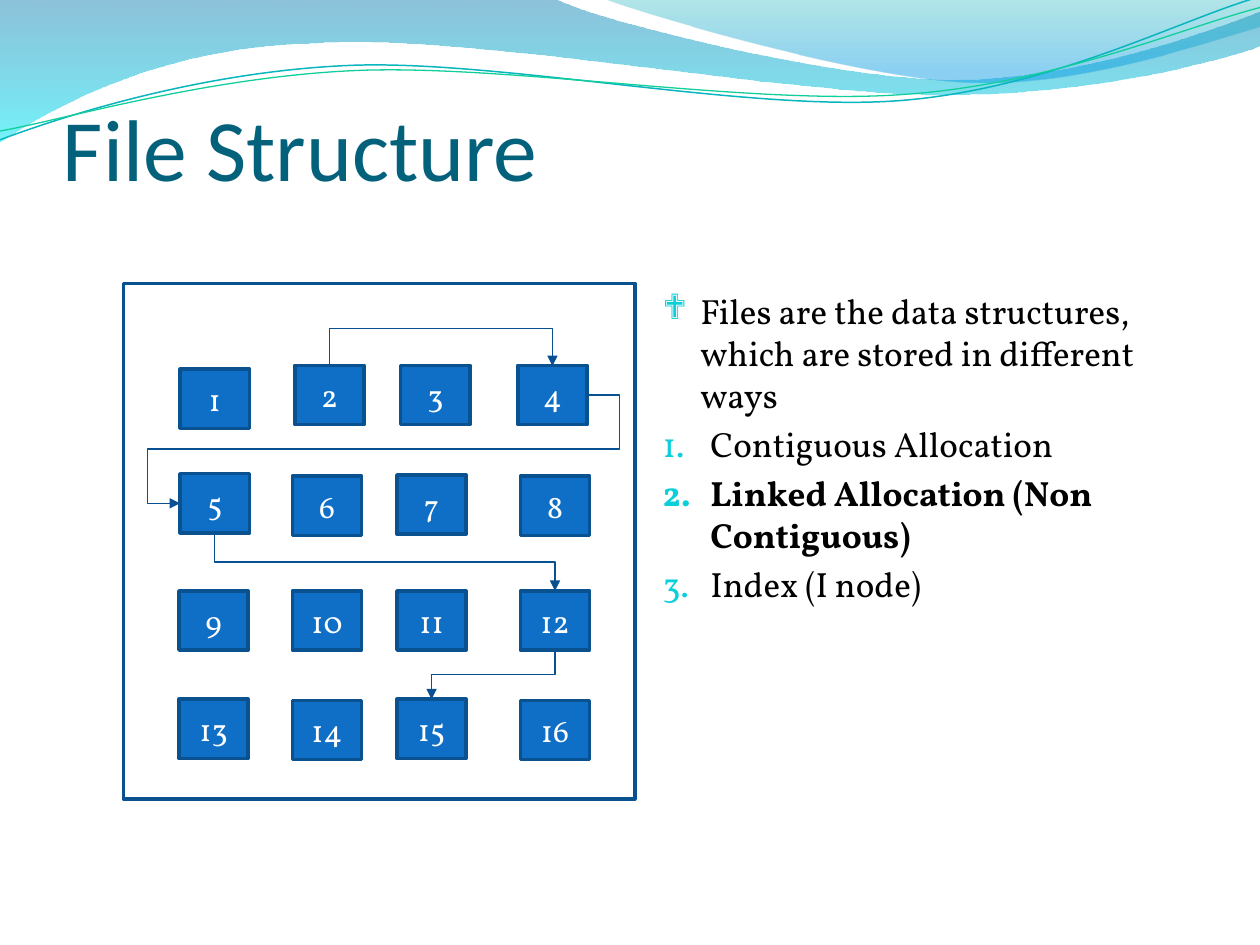
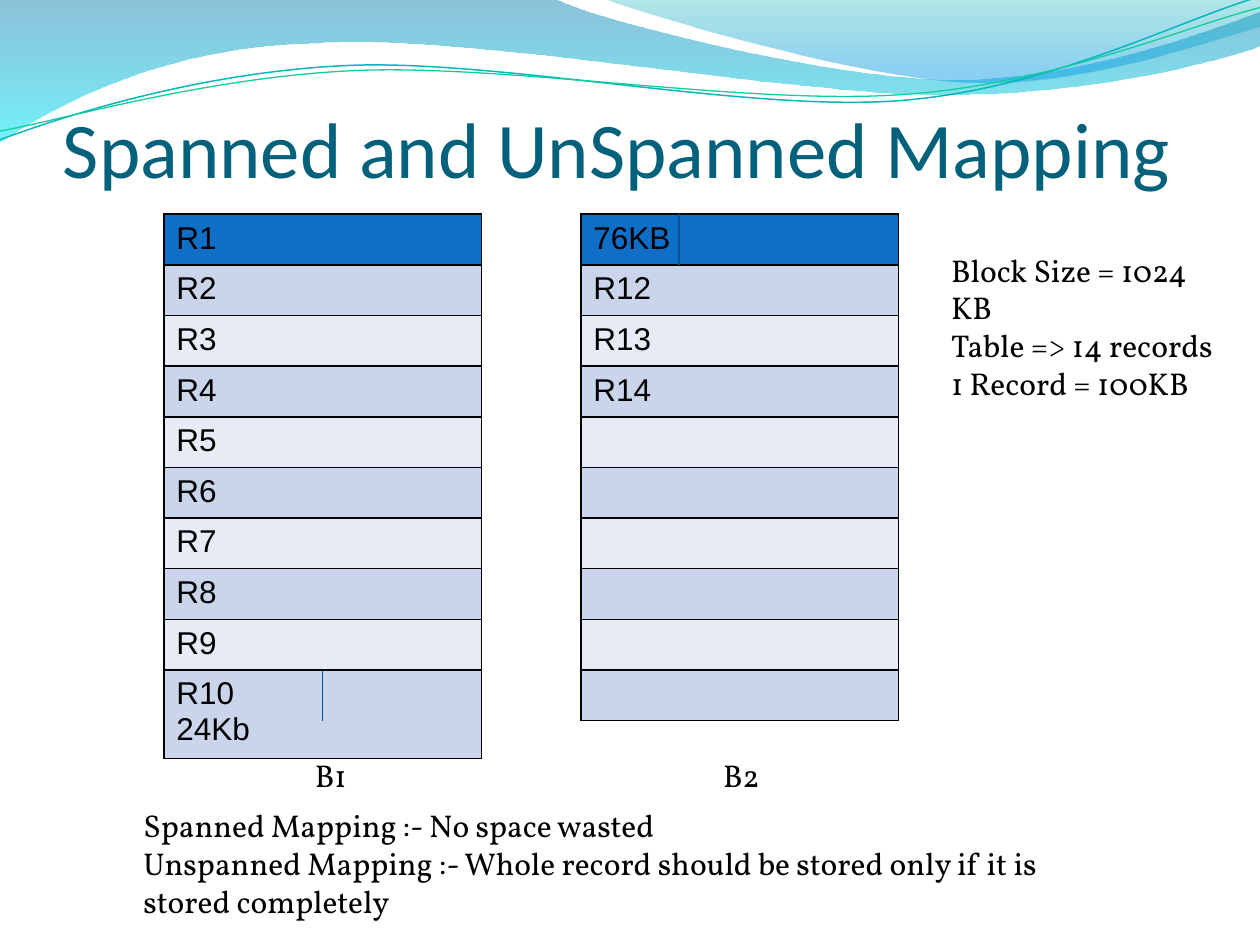
from copy import deepcopy

from lxml import etree
from pptx import Presentation
from pptx.dml.color import RGBColor
from pptx.enum import shapes, text
from pptx.oxml.ns import qn
from pptx.util import Inches, Pt

# Shared look
BODY_FONT, TITLE_FONT, TABLE_FONT = "Vollkorn", "Calibri", "Arial"
TITLE, BLUE, EDGE, ARROW, BULLET = "04617B", "0F6FC6", "0A5190", "075192", "0BD0D9"
BLACK, WHITE, BANDS = "000000", "FFFFFF", ("E6EBF5", "CAD4EA")

# Waves: a start point, then lines (2 numbers) and Bezier curves (6 numbers)
WAVE_BANDS = [
    ([(0, 0), (4.4, -0.01), (4.76, 0.17, 6.64, 0.63, 7.58, 0.63),
      (8.53, 0.63, 9.58, 0.26, 10, 0.09), (10.01, 0.36),
      (9.83, 0.44, 8.7, 0.76, 7.46, 0.75), (6.22, 0.75, 3.82, 0.28, 2.57, 0.34),
      (1.29, 0.36, 0.46, 0.83, -0.01, 1.13)],
     [(0, "0079AD", 45), (100, "00E9F7", 55)]),
    ([(4.79, -0.01), (5.09, 0.11, 6.82, 0.62, 7.69, 0.65),
      (8.56, 0.69, 9.61, 0.32, 10, 0.21), (10, 0)],
     [(0, "00ABB4", 30), (80, "0099E4", 45), (100, "0099E4", 45)]),
]
WAVE_LINES = [
    ([(0, 1.11), (0.48, 0.93, 1.58, 0.57, 2.77, 0.52),
      (3.95, 0.47, 5.93, 0.89, 7.13, 0.8), (8.33, 0.71, 9.38, 0.15, 9.98, -0.02)],
     "09B6BE", 0.85),
    ([(0, 1.04), (0.47, 0.96, 1.64, 0.61, 2.83, 0.56),
      (4.03, 0.51, 5.97, 0.84, 7.17, 0.75), (8.36, 0.67, 9.41, 0.21, 10, 0.06)],
     "10CF9B", 0.75),
]

# File structure: (marker, text, bold)
POINTS = [
    ("❖", "Files are the data structures, which are stored in different ways", False),
    (None, "Contiguous Allocation", False),
    (None, "Linked Allocation (Non Contiguous)", True),
    (None, "Index (I node)", False),
]
BLOCK_WIDTH, BLOCK_HEIGHT = 0.55, 0.47
BLOCK_ROWS = [  # lefts and tops of each row
    ((1.43, 2.34, 3.18, 4.11), (2.93, 2.9, 2.9, 2.9)),
    ((1.43, 2.32, 3.15, 4.13), (3.76, 3.78, 3.77, 3.78)),
    ((1.42, 2.32, 3.15, 4.13), (4.69, 4.69, 4.69, 4.69)),
    ((1.42, 2.32, 3.15, 4.13), (5.55, 5.56, 5.55, 5.56)),
]
TOP, LEFT, BOTTOM, RIGHT = range(4)
LINKS = [  # block and side, block and side, bends
    (4, RIGHT, 5, LEFT, (-0.08, 0.5, 1.08)),
    (2, TOP, 4, TOP, (-29,)),
    (5, BOTTOM, 12, TOP, (0.5,)),
    (12, BOTTOM, 15, TOP, (0.5,)),
]

# Mapping
TABLE_TOP, TABLE_WIDTH, TABLE_HEIGHT, SPLIT_HEIGHT = 1.7, 2.52, 4.02, 0.4
DISK_BLOCKS = [
    (1.3, [f"R{n}" for n in range(1, 10)] + ["R10\n24Kb"]),
    (4.61, ["76KB", "R12", "R13", "R14"] + [""] * 6),
]
SPLITS = [(2.56, 5.32), (5.39, TABLE_TOP)]
NOTES = [
    (2.4, 5.95, 0.63, 0.4, ["B1"]),
    (5.64, 5.95, 0.55, 0.4, ["B2"]),
    (7.45, 1.94, 2.43, 1.01,
     ["Block Size = 1024 KB", "Table => 14 records", "1 Record = 100KB"]),
    (1.04, 6.35, 7.92, 1.01,
     ["Spanned Mapping :- No space wasted",
      "Unspanned Mapping :- Whole record should be stored only if it is stored completely"]),
]


def color(value):
    return RGBColor.from_string(value)


def child(parent, tag, **attributes):
    return etree.SubElement(parent, qn(tag), {k: str(v) for k, v in attributes.items()})


def solid(parent, value):
    return child(child(parent, "a:solidFill"), "a:srgbClr", val=value)


def set_line(shape, value, width):
    shape.line.color.rgb = color(value)
    shape.line.width = Pt(width)


def write(para, words, size, font=BODY_FONT, ink=BLACK, bold=False):
    for index, line in enumerate(words.split("\n")):
        if index:
            para.add_line_break()
            para._p[-1].append(deepcopy(span.font._element))
        span = para.add_run()
        span.text = line
        span.font.size, span.font.name, span.font.bold = Pt(size), font, bold
        span.font.color.rgb = color(ink)


def add_text_box(page, left, top, width, height):
    box = page.shapes.add_textbox(*map(Inches, (left, top, width, height)))
    box.text_frame.word_wrap = True
    return box.text_frame


def paragraphs(frame, items):
    for index, item in enumerate(items):
        yield (frame.add_paragraph() if index else frame.paragraphs[0]), item


# Waves and title
def add_wave(page, outline, closed):
    start, *parts = outline
    builder = page.shapes.build_freeform(*map(Inches, start))
    for part in parts:
        pairs = zip(part[::2], part[1::2])
        builder.add_line_segments([(Inches(x), Inches(y)) for x, y in pairs], close=False)
    if closed:
        builder.add_line_segments([], close=True)
    wave = builder.convert_to_shape()
    wave.shadow.inherit = False

    # Turn each group of three points into one curve
    segments = iter(wave._element.spPr.findall(".//" + qn("a:lnTo")))
    for part in parts:
        first = next(segments)
        if len(part) == 6:
            first.tag_owner = None
            curve = etree.Element(qn("a:cubicBezTo"))
            first.addprevious(curve)
            for segment in (first, next(segments), next(segments)):
                curve.append(segment[0])
                segment.getparent().remove(segment)
    return wave


def add_page(deck, title, size, top):
    page = deck.slides.add_slide(deck.slide_layouts[6])
    for outline, stops in WAVE_BANDS:
        wave = add_wave(page, outline, True)
        wave.line.fill.background()
        wave.fill.gradient()
        wave.fill.gradient_angle = 270
        stop_list = wave._element.spPr.find(".//" + qn("a:gsLst"))
        for old in list(stop_list):
            stop_list.remove(old)
        for place, value, alpha in stops:
            stop = child(stop_list, "a:gs", pos=place * 1000)
            child(child(stop, "a:srgbClr", val=value), "a:alpha", val=alpha * 1000)
    for outline, value, width in WAVE_LINES:
        wave = add_wave(page, outline, False)
        wave.fill.background()
        set_line(wave, value, width)
    frame = add_text_box(page, 0.5, top, 9, 1.25)
    frame.margin_left = frame.margin_right = frame.margin_bottom = 0
    frame.vertical_anchor = text.MSO_ANCHOR.BOTTOM
    write(frame.paragraphs[0], title, size, TITLE_FONT, TITLE)
    return page


def add_rectangle(page, left, top, width, height):
    box = page.shapes.add_shape(shapes.MSO_SHAPE.RECTANGLE,
                                *map(Inches, (left, top, width, height)))
    box.shadow.inherit = False
    set_line(box, EDGE, 2)
    return box


def finish_connector(connector, arrow=False):
    set_line(connector, ARROW, 0.75)
    properties = connector._element.spPr
    if arrow:
        child(properties.find(qn("a:ln")), "a:tailEnd", type="triangle")
    child(properties, "a:effectLst")


def add_link(page, start, start_side, end, end_side, bends):
    link = page.shapes.add_connector(shapes.MSO_CONNECTOR.ELBOW, 0, 0, 0, 0)
    link.begin_connect(start, start_side)
    link.end_connect(end, end_side)
    across, down = link.end_x - link.begin_x, link.end_y - link.begin_y
    properties = link._element.spPr
    frame = properties.find(qn("a:xfrm"))
    if start_side in (TOP, BOTTOM):  # leaves vertically: a turned frame
        middle_x, middle_y = link.begin_x + across // 2, link.begin_y + down // 2
        for flip in ("flipH", "flipV"):
            frame.attrib.pop(flip, None)
        frame.set("rot", str((270 if across > 0 else 90) * 60000))
        if across > 0:
            frame.set("flipH", "1")
        link.width, link.height = max(abs(down), Inches(0.01)), abs(across)
        link.left, link.top = middle_x - link.width // 2, middle_y - link.height // 2
    geometry = properties.find(qn("a:prstGeom"))
    geometry.set("prst", f"bentConnector{len(bends) + 2}")
    guides = geometry.find(qn("a:avLst"))
    for number, bend in enumerate(bends, 1):
        child(guides, "a:gd", name=f"adj{number}", fmla=f"val {round(bend * 100000)}")
    finish_connector(link, arrow=True)


def build_file_structure(deck):
    page = add_page(deck, "File Structure", 50, 0.33)

    # List
    frame = add_text_box(page, 5.16, 2.25, 4.28, 4.66)
    for para, (marker, words, bold) in paragraphs(frame, POINTS):
        indent = Inches(0.3 if marker else 0.38)
        para.space_before = Pt(0 if marker else 4)
        properties = para._p.get_or_add_pPr()
        properties.set("marL", str(indent))
        properties.set("indent", str(-indent))
        child(child(properties, "a:buClr"), "a:srgbClr", val=BULLET)
        if marker:
            child(properties, "a:buFont", typeface="Wingdings")
            child(properties, "a:buChar", char=marker)
        else:
            child(properties, "a:buAutoNum", type="arabicPeriod")
        write(para, words, 20, bold=bold)

    # Disk with numbered blocks
    add_rectangle(page, 0.98, 2.25, 4.06, 4.09).fill.background()
    blocks = {}
    for lefts, tops in BLOCK_ROWS:
        for left, top in zip(lefts, tops):
            block = add_rectangle(page, left, top, BLOCK_WIDTH, BLOCK_HEIGHT)
            block.fill.solid()
            block.fill.fore_color.rgb = color(BLUE)
            block.text_frame.vertical_anchor = text.MSO_ANCHOR.MIDDLE
            para = block.text_frame.paragraphs[0]
            para.alignment = text.PP_ALIGN.CENTER
            number = len(blocks) + 1
            write(para, str(number), 18, ink=WHITE)
            blocks[number] = block

    # Chain of linked blocks
    for start, start_side, end, end_side, bends in LINKS:
        add_link(page, blocks[start], start_side, blocks[end], end_side, bends)


def add_record_table(page, left, records):
    table = page.shapes.add_table(
        len(records), 1, *map(Inches, (left, TABLE_TOP, TABLE_WIDTH, TABLE_HEIGHT))).table
    table.first_row = table.horz_banding = False
    for index, record in enumerate(records):
        cell = table.cell(index, 0)
        properties = cell._tc.get_or_add_tcPr()
        for side in ("a:lnL", "a:lnR", "a:lnT", "a:lnB"):
            solid(child(properties, side, w=Pt(1)), BLACK)
        cell.fill.solid()
        cell.fill.fore_color.rgb = color(BANDS[index % 2] if index else BLUE)
        if record:
            write(cell.text_frame.paragraphs[0], record, 18, TABLE_FONT)


def build_mapping(deck):
    page = add_page(deck, "Spanned and UnSpanned Mapping", 45, 0.29)
    for left, records in DISK_BLOCKS:
        add_record_table(page, left, records)

    # Marks where a record is split
    for x, y in SPLITS:
        ends = map(Inches, (x, y, x, y + SPLIT_HEIGHT))
        finish_connector(page.shapes.add_connector(shapes.MSO_CONNECTOR.STRAIGHT, *ends))

    # Labels and notes
    for *place, lines in NOTES:
        for para, line in paragraphs(add_text_box(page, *place), lines):
            write(para, line, 18)


def main():
    deck = Presentation()
    deck.slide_width, deck.slide_height = Inches(10), Inches(7.5)
    build_file_structure(deck)
    build_mapping(deck)
    deck.save("out.pptx")


if __name__ == "__main__":
    main()
